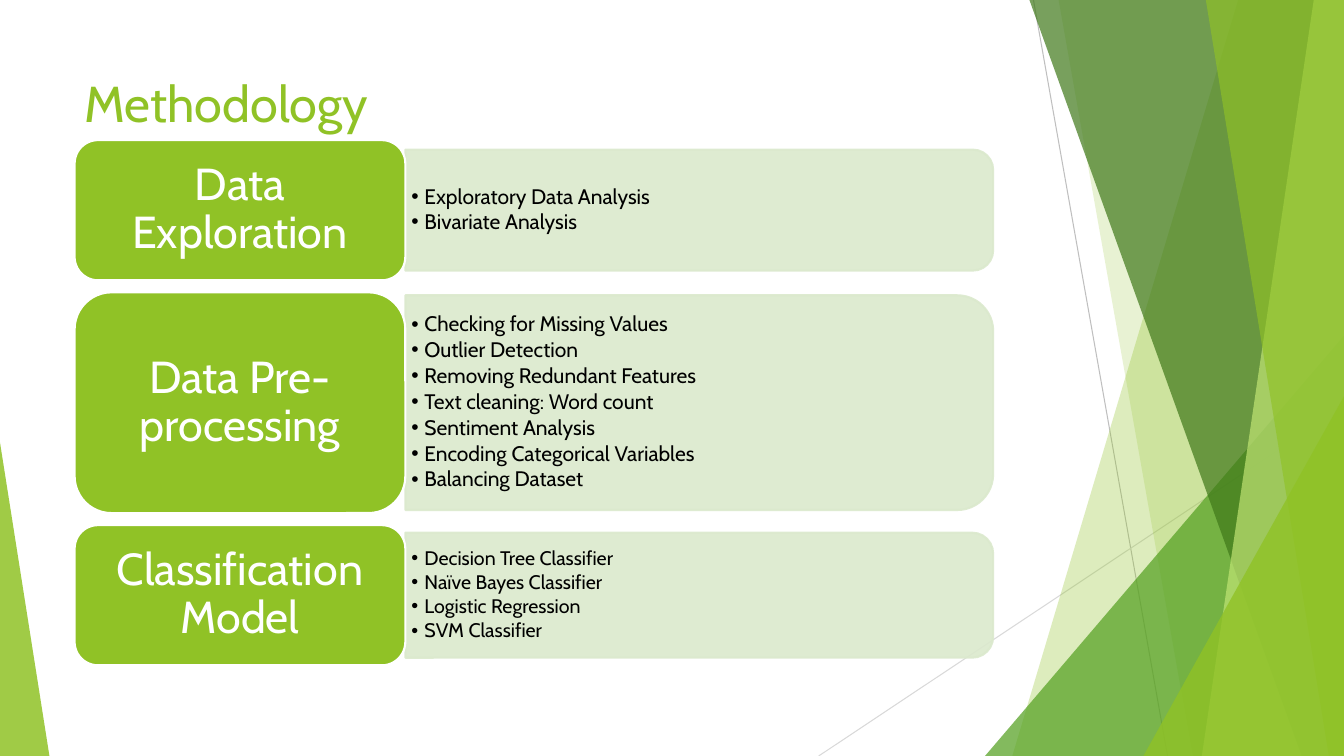
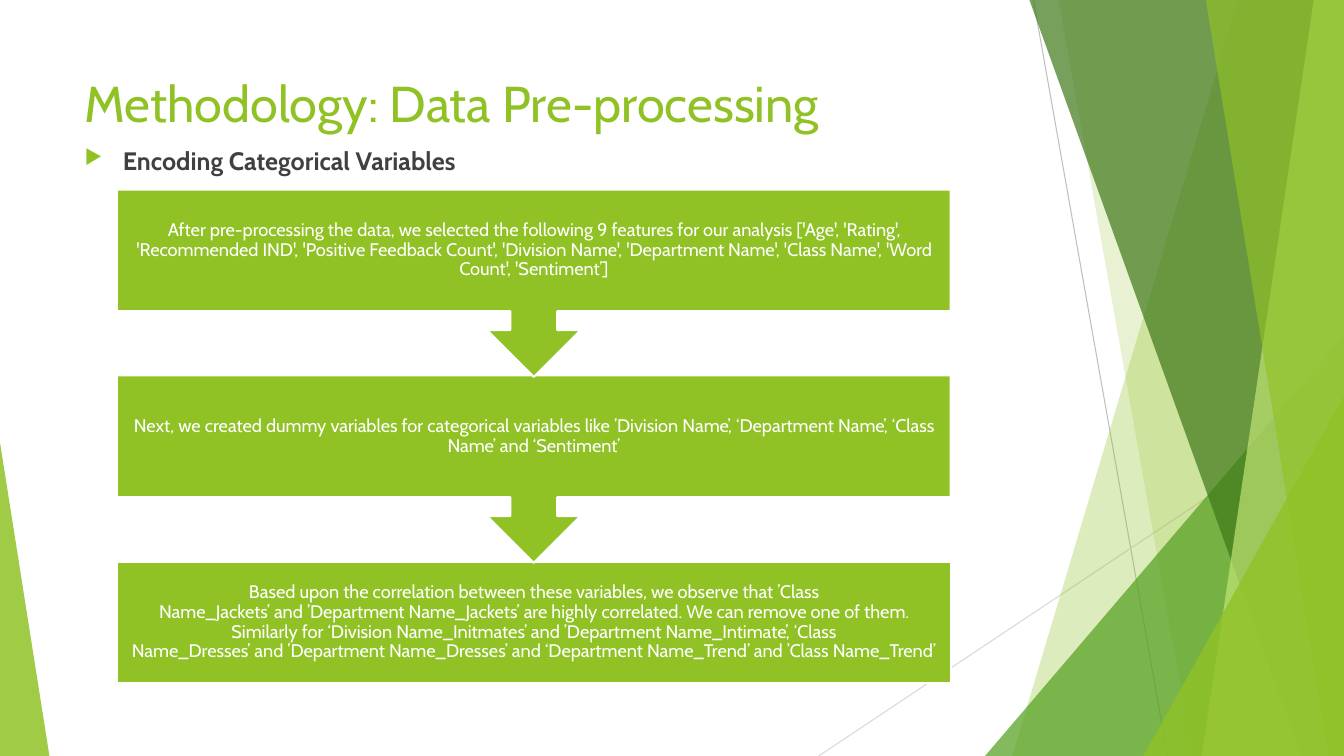
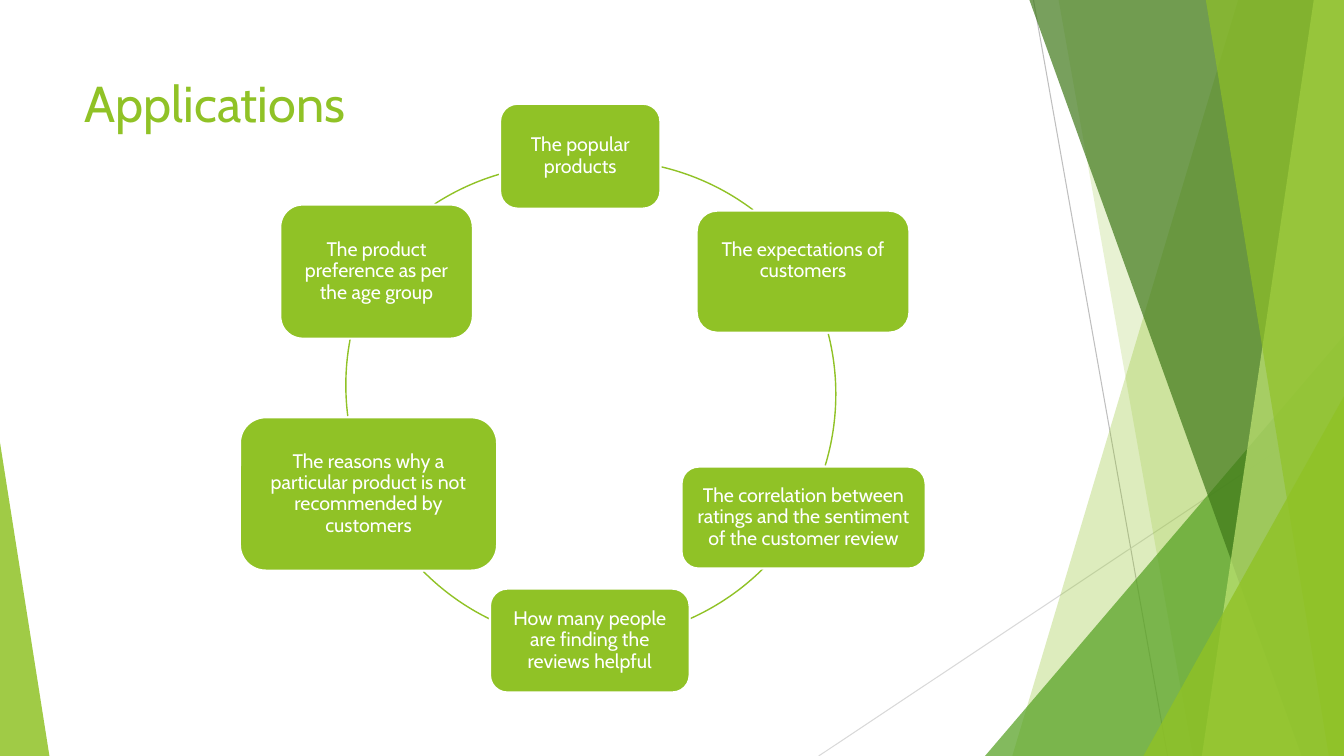
from math import atan2, degrees

from lxml.etree import SubElement
from pptx import Presentation
from pptx.dml.color import RGBColor
from pptx.enum.shapes import MSO_CONNECTOR, MSO_SHAPE as SHAPE
from pptx.enum.text import MSO_ANCHOR as ANCHOR, PP_ALIGN as ALIGN
from pptx.oxml.ns import qn
from pptx.util import Inches, Pt

FONT = "Cabin"
WIDTH, HEIGHT = 13.33, 7.5
COLORS = {
    "lime": "90C226", "green": "54A021", "forest": "3F7819", "pale": "C0E474",
    "panel": "DBE9CD", "white": "FFFFFF", "black": "000000", "text": "404040",
    "line": "BFBFBF", "faint": "D9D9D9",
}

# Backdrop: lines (start, end, colour), then facets from back to front.
BACK_LINES = [
    ((10.25, 0), (11.58, HEIGHT), "line"),
    ((WIDTH, 4.03), (8.12, HEIGHT), "faint"),
]
# Band: top-left x, bottom-left x. Triangle: left, top, width, apex position.
FACETS = [
    ("band", (12.28, 10.04), "lime", 30),
    ("band", (10.5, 11.83), "lime", 20),
    ("triangle", (9.77, 3.33, 3.56, 1), "green", 72),
    ("band", (10.21, 12.91), "forest", 70),
    ("band", (13.03, 11.92), "pale", 70),
    ("band", (11.96, 13.18), "lime", 65),
    ("triangle", (11.34, 3.93, 1.99, 1), "lime", 80),
    ("triangle", (0, 4.39, 0.49, 0), "lime", 85),
]

# Stage: name, card height, panel height, text size, points
STAGES = [
    ("Data Exploration", 1.39, 1.2, 15,
     ["Exploratory Data Analysis", "Bivariate Analysis"]),
    ("Data Pre-processing", 2.19, 2.13, 15,
     ["Checking for Missing Values", "Outlier Detection",
      "Removing Redundant Features", "Text cleaning: Word count",
      "Sentiment Analysis", "Encoding Categorical Variables",
      "Balancing Dataset"]),
    ("Classification Model", 1.39, 1.24, 14,
     ["Decision Tree Classifier", "Naïve Bayes Classifier",
      "Logistic Regression", "SVM Classifier"]),
]

HARD_SPACE = chr(160)
TIED_AND = f"{HARD_SPACE}and{HARD_SPACE}"
STEPS = [
    "After pre-processing the data, we selected the following 9 features for "
    "our analysis ['Age', 'Rating', 'Recommended IND', 'Positive Feedback "
    "Count', 'Division Name', 'Department Name', 'Class Name', 'Word Count', "
    "'Sentiment’]",
    "Next, we created dummy variables for categorical variables like "
    "’Division Name’, ‘Department Name’, ‘Class Name’ and ‘Sentiment’",
    "Based upon the correlation between these variables, we observe that "
    f"’Class Name_Jackets’{TIED_AND}’Department Name_Jackets’ are highly "
    "correlated. We can remove one of them. Similarly for ‘Division "
    f"Name_Initmates’{TIED_AND}’Department Name_Intimate’, ‘Class "
    f"Name_Dresses’{TIED_AND}’Department Name_Dresses’ and ‘Department "
    f"Name_Trend’{TIED_AND}’Class Name_Trend’",
]

# Application: text, card (left, top, width, height), extra bottom inset
APPLICATIONS = [
    ("The popular products", (4.96, 1.03, 1.59, 1.04), 0),
    ("The expectations of customers", (6.91, 2.09, 2.11, 1.21), 0.22),
    ("The correlation between ratings and the sentiment of the customer review",
     (6.76, 4.63, 2.42, 1.01), 0),
    ("How many people are finding the reviews helpful",
     (4.86, 5.84, 1.98, 1.03), 0),
    ("The reasons why a particular product is not recommended by customers",
     (2.38, 4.14, 2.55, 1.52), 0),
    ("The product preference as per the age group",
     (2.78, 2.03, 1.91, 1.33), 0),
]
RING = 4.88
# Arc: left and top of its circle, start point, end point (clockwise)
ARCS = [
    ((3.56, 1.59), (6.56, 1.66), (7.47, 2.08)),
    ((3.41, 1.47), (8.22, 3.31), (8.19, 4.62)),
    ((3.41, 1.47), (7.58, 5.64), (6.85, 6.14)),
    ((3.49, 1.51), (4.86, 6.14), (4.2, 5.67)),
    ((3.43, 1.38), (3.45, 4.13), (3.47, 3.36)),
    ((3.2, 1.63), (4.31, 2.02), (4.95, 1.73)),
]


def rgb(name):
    return RGBColor.from_string(COLORS[name])


def inches(values):
    return [Inches(value) for value in values]


def paint(shape, fill, line=None, opacity=100, weight=1.5):
    """Set fill and outline, both with the same opacity in percent."""
    shape.shadow.inherit = False
    parts = [(shape.fill, fill), (shape.line.fill, line)]
    for part, color in parts:
        if color:
            part.solid()
            part.fore_color.rgb = rgb(color)
        else:
            part.background()
    if line:
        shape.line.width = Pt(weight)
    if opacity < 100:
        for color in shape._element.spPr.iter(qn("a:srgbClr")):
            SubElement(color, qn("a:alpha"), val=str(opacity * 1000))
    return shape


def add_bullet(para, char, indent, typeface, color, percent):
    props = para._p.get_or_add_pPr()
    props.set("marL", str(Inches(indent)))
    props.set("indent", str(-Inches(indent)))
    holder = SubElement(props, qn("a:buClr"))
    SubElement(holder, qn("a:srgbClr"), val=COLORS[color])
    SubElement(props, qn("a:buSzPct"), val=str(percent * 1000))
    SubElement(props, qn("a:buFont"), typeface=typeface)
    SubElement(props, qn("a:buChar"), char=char)


def write(shape, texts, size, color, insets=(0.1, 0.05, 0.1, 0.05),
          anchor=ANCHOR.MIDDLE, align=ALIGN.LEFT, spacing=None, after=0,
          bold=False, bullet=None):
    """Write one paragraph per text; after is a share of the text size."""
    frame = shape.text_frame
    frame.word_wrap = True
    frame.vertical_anchor = anchor
    (frame.margin_left, frame.margin_top,
     frame.margin_right, frame.margin_bottom) = inches(insets)
    for index, text in enumerate(texts):
        para = frame.add_paragraph() if index else frame.paragraphs[0]
        para.text = text
        if bullet:
            add_bullet(para, *bullet)
        para.alignment = align
        para.line_spacing = spacing
        para.space_after = Pt(size * after)
        font = para.font
        font.name, font.size, font.bold = FONT, Pt(size), bold
        font.color.rgb = rgb(color)


def add_card(page, kind, place, text, size, insets):
    card = page.shapes.add_shape(kind, *inches(place))
    paint(card, "lime", "white")
    write(card, [text], size, "white", insets,
          align=ALIGN.CENTER, spacing=0.9, after=0.35)


def add_backdrop(page):
    for start, end, color in BACK_LINES:
        line = page.shapes.add_connector(
            MSO_CONNECTOR.STRAIGHT, *inches(start + end))
        line.line.color.rgb = rgb(color)
        line.line.width = Pt(0.75)
        SubElement(line._element.spPr, qn("a:effectLst"))
    for kind, place, color, opacity in FACETS:
        if kind == "band":
            top_x, bottom_x = place
            outline = page.shapes.build_freeform(Inches(top_x), 0)
            corners = [(WIDTH, 0), (WIDTH, HEIGHT), (bottom_x, HEIGHT)]
            outline.add_line_segments([inches(corner) for corner in corners])
            facet = outline.convert_to_shape()
        else:
            left, top, width, apex = place
            facet = page.shapes.add_shape(
                SHAPE.ISOSCELES_TRIANGLE,
                *inches((left, top, width, HEIGHT - top)))
            facet.adjustments[0] = apex
        paint(facet, color, opacity=opacity)


def add_page(deck, title):
    page = deck.slides.add_slide(deck.slide_layouts[6])
    add_backdrop(page)
    box = page.shapes.add_textbox(*inches((0.74, 0.67, 9.4, 0.72)))
    write(box, [title], 36, "lime", anchor=ANCHOR.TOP)
    return page


def build_methodology(deck):
    page = add_page(deck, "Methodology")
    left, top, gap = 0.74, 1.39, 0.12
    card_width, panel_width = 3.28, 5.83
    panel_left = left + card_width
    for name, height, panel_height, size, points in STAGES:
        middle = top + height / 2
        # The panel is turned a quarter, so its width and height swap.
        panel = page.shapes.add_shape(SHAPE.ROUND_2_SAME_RECTANGLE, *inches((
            panel_left + (panel_width - panel_height) / 2,
            middle - panel_width / 2, panel_height, panel_width)))
        panel.rotation = 90
        paint(panel, "panel", "panel", opacity=90)
        box = page.shapes.add_textbox(*inches((
            panel_left, middle - panel_height / 2, panel_width, panel_height)))
        write(box, points, size, "black", (0.06, 0.03, 0.06, 0.03),
              spacing=0.9, after=0.15,
              bullet=("•", 0.13, "Arial", "black", 100))
        add_card(page, SHAPE.ROUNDED_RECTANGLE,
                 (left, top, card_width, height), name, 32,
                 (0.13, 0.07, 0.13, 0.07))
        top += height + gap


def build_preprocessing(deck):
    page = add_page(deck, "Methodology: Data Pre-processing")
    box = page.shapes.add_textbox(*inches((0.74, 1.39, 9.4, 0.43)))
    write(box, ["Encoding Categorical Variables"], 18, "text",
          anchor=ANCHOR.TOP, bold=True,
          bullet=("▶", 0.38, "OpenSymbol", "lime", 80))
    last = len(STEPS) - 1
    # Drawn from the bottom up, so each arrow tip lies over the next box.
    for index in range(last, -1, -1):
        kind, height = ((SHAPE.RECTANGLE, 1.21) if index == last
                        else (SHAPE.DOWN_ARROW_CALLOUT, 1.86))
        add_card(page, kind, (1.16, 1.88 + index * 3.69 / last, 8.27, height),
                 STEPS[index], 13, (0.1,) * 4)


def build_applications(deck):
    page = add_page(deck, "Applications")
    for (left, top), *ends in ARCS:
        arc = page.shapes.add_shape(
            SHAPE.ARC, *inches((left, top, RING, RING)))
        for index, (x, y) in enumerate(ends):
            angle = degrees(atan2(y - top - RING / 2, x - left - RING / 2))
            # Angles are stored in 1/60000 degree, adjustments in 1/100000.
            arc.adjustments[index] = angle % 360 * 0.6
        paint(arc, None, "lime", weight=1)
    for text, place, extra in APPLICATIONS:
        add_card(page, SHAPE.ROUNDED_RECTANGLE, place, text, 14,
                 (0.06, 0.06, 0.06, 0.06 + extra))


def main():
    deck = Presentation()
    deck.slide_width, deck.slide_height = inches((WIDTH, HEIGHT))
    build_methodology(deck)
    build_preprocessing(deck)
    build_applications(deck)
    deck.save("out.pptx")


if __name__ == "__main__":
    main()
